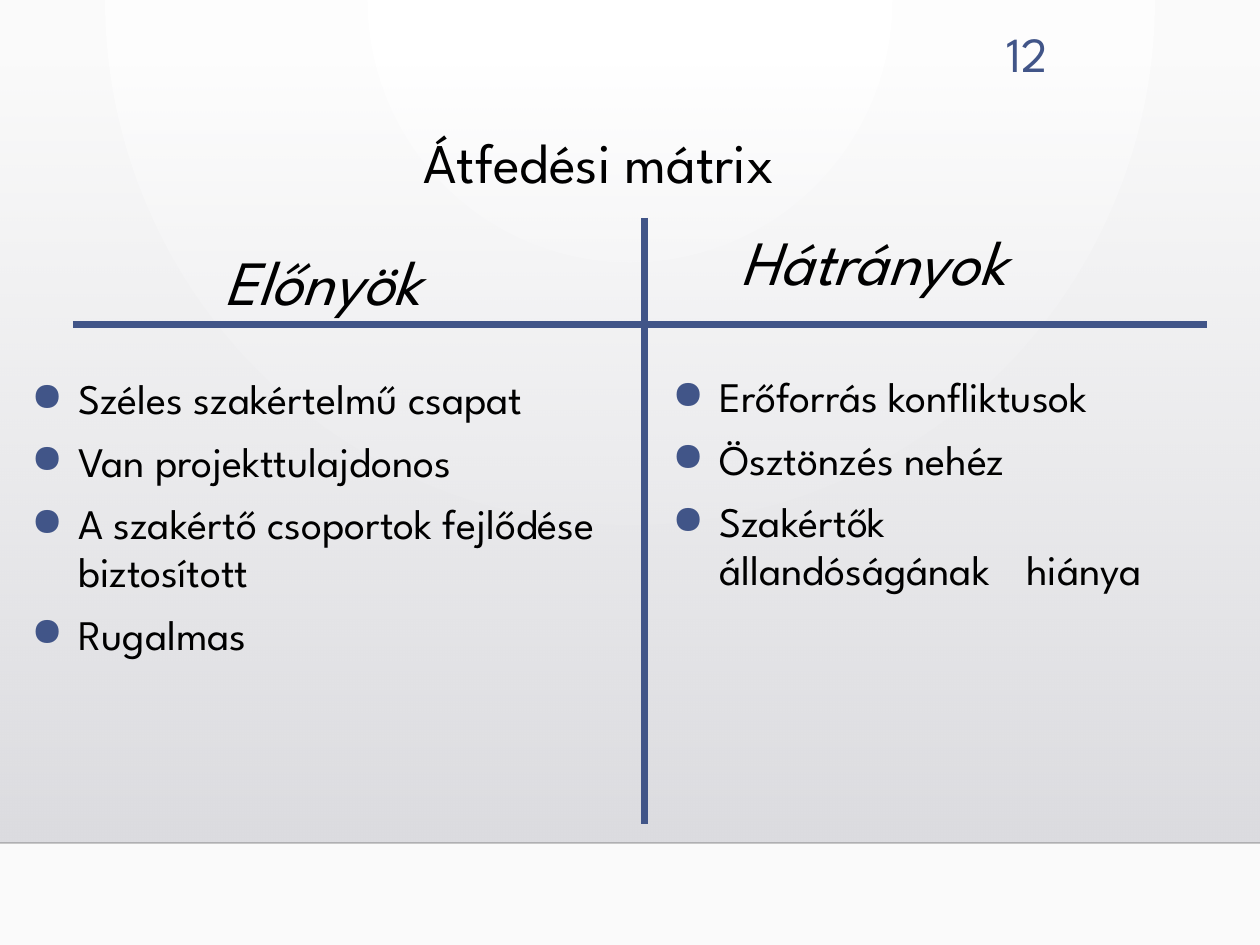
from lxml import etree
from pptx import Presentation
from pptx.dml.color import RGBColor
from pptx.enum.shapes import MSO_CONNECTOR, MSO_SHAPE
from pptx.enum.text import MSO_ANCHOR, PP_ALIGN
from pptx.oxml import parse_xml
from pptx.oxml.ns import nsdecls, qn
from pptx.util import Emu, Pt

SCALE = 914400 / 126
WIDTH, HEIGHT = 1260, 945
PANEL_TOP, PANEL_BOTTOM = 64, 843
FONT = "League Spartan"
BLUE = RGBColor(0x41, 0x55, 0x88)
BLACK = RGBColor(0, 0, 0)
WHITE = RGBColor(0xFF, 0xFF, 0xFF)
OFF_WHITE = RGBColor(0xFA, 0xFA, 0xFA)
GREY = RGBColor(0xDC, 0xDC, 0xE0)
LIGHT_GREY = RGBColor(0xDE, 0xDE, 0xE2)

PROS = ["Széles szakértelmű csapat", "Van projekttulajdonos",
        "A szakértő csoportok fejlődése biztosított", "Rugalmas"]
CONS = ["Erőforrás konfliktusok", "Ösztönzés nehéz",
        "Szakértők \vállandóságának \thiánya"]


def px(n):
    return Emu(round(n * SCALE))


def grad_fill(stops, direction):
    """Gradient element from (position %, colour, opacity %) stops."""
    gs = "".join(
        f'<a:gs pos="{pos * 1000}"><a:srgbClr val="{color}">'
        f'<a:alpha val="{alpha * 1000}"/></a:srgbClr></a:gs>'
        for pos, color, alpha in stops)
    return (f'<a:gradFill {nsdecls("a")} rotWithShape="1">'
            f'<a:gsLst>{gs}</a:gsLst>{direction}</a:gradFill>')


def set_background(s):
    circle = ('<a:path path="circle"><a:fillToRect l="43000" r="43000" '
              'b="100000"/></a:path>')
    fill = grad_fill([(0, WHITE, 100), (100, OFF_WHITE, 100)], circle)
    s.background.fill.solid()
    bg_pr = s.background._cSld.bg.bgPr
    bg_pr.replace(bg_pr[0], parse_xml(fill))


def add_panel(s):
    sp = s.shapes.add_shape(MSO_SHAPE.RECTANGLE, 0, px(PANEL_TOP), px(WIDTH),
                            px(PANEL_BOTTOM - PANEL_TOP))
    sp.shadow.inherit = False
    sp.line.fill.background()
    sp.fill.solid()
    fill = grad_fill([(0, GREY, 0), (100, LIGHT_GREY, 100)],
                     '<a:lin ang="5400000" scaled="0"/>')
    sp_pr = sp._element.spPr
    sp_pr.replace(sp_pr.find(qn("a:solidFill")), parse_xml(fill))


def add_line(s, x1, y1, x2, y2, color=BLUE, width=4, alpha=100):
    line = s.shapes.add_connector(MSO_CONNECTOR.STRAIGHT, px(x1), px(y1),
                                  px(x2), px(y2))
    line.line.color.rgb = color
    line.line.width = Pt(width)
    sp_pr = line._element.spPr
    if alpha < 100:
        clr = sp_pr.find(".//" + qn("a:srgbClr"))
        etree.SubElement(clr, qn("a:alpha")).set("val", str(alpha * 1000))
    etree.SubElement(sp_pr, qn("a:effectLst"))


def format_paragraph(p, size, color=BLACK, italic=None, spacing=None,
                     align=PP_ALIGN.LEFT):
    p.alignment = align
    p.line_spacing = spacing
    for r in p.runs:
        r.font.name = FONT
        r.font.size = Pt(size)
        r.font.color.rgb = color
        r.font.italic = italic


def add_text(s, x, y, w, h, text):
    tf = s.shapes.add_textbox(px(x), px(y), px(w), px(h)).text_frame
    tf.word_wrap = True
    tf.text = text
    return tf


def add_heading(s, x, y, w, text):
    tf = add_text(s, x, y, w, 77, text)
    format_paragraph(tf.paragraphs[0], 36, italic=True, spacing=0.85,
                     align=PP_ALIGN.CENTER)


def add_bullet(p):
    p_pr = p._p.get_or_add_pPr()
    p_pr.set("marL", str(px(47)))
    p_pr.set("indent", str(px(-47)))
    for xml in (f'<a:buClr {nsdecls("a")}><a:srgbClr val="{BLUE}"/></a:buClr>',
                f'<a:buSzPct {nsdecls("a")} val="95000"/>',
                f'<a:buChar {nsdecls("a")} char="●"/>',
                f'<a:tabLst {nsdecls("a")}><a:tab pos="{px(354)}" algn="l"/>'
                '</a:tabLst>'):
        p_pr.append(parse_xml(xml))


def add_bullets(s, x, y, w, h, items):
    tf = add_text(s, x, y, w, h, items[0])
    for item in items[1:]:
        p = tf.add_paragraph()
        p.text = item
        p.space_before = Pt(6)
    for p in tf.paragraphs:
        add_bullet(p)
        format_paragraph(p, 24, spacing=0.95)
        p.space_after = Pt(2.4)


def place_title(s, text):
    title = s.shapes.title
    title.left, title.top = px(411), px(129)
    title.width, title.height = px(471), px(145)
    tf = title.text_frame
    tf.text = text
    tf.vertical_anchor = MSO_ANCHOR.TOP
    format_paragraph(tf.paragraphs[0], 32, spacing=0.9)
    s.shapes._spTree.append(title._element)  # in front of the panel


def add_page_number(s, text):
    tf = add_text(s, 950, 18, 110, 69, text)
    tf.vertical_anchor = MSO_ANCHOR.MIDDLE
    format_paragraph(tf.paragraphs[0], 28, BLUE, align=PP_ALIGN.RIGHT)


def main():
    prs = Presentation()
    prs.slide_width, prs.slide_height = px(WIDTH), px(HEIGHT)
    s = prs.slides.add_slide(prs.slide_layouts[5])
    set_background(s)
    add_panel(s)
    add_line(s, 0, PANEL_BOTTOM, WIDTH, PANEL_BOTTOM, BLACK, 1, alpha=20)
    add_page_number(s, "12")
    place_title(s, "Átfedési mátrix")
    add_line(s, 73, 325, 1207, 325)
    add_heading(s, 6, 248, 633, "Előnyök")
    add_heading(s, 570, 228, 606, "Hátrányok")
    add_bullets(s, 19, 370, 620, 305, PROS)
    add_bullets(s, 660, 368, 605, 307, CONS)
    add_line(s, 645, 218, 645, 824)
    prs.save("out.pptx")


if __name__ == "__main__":
    main()
